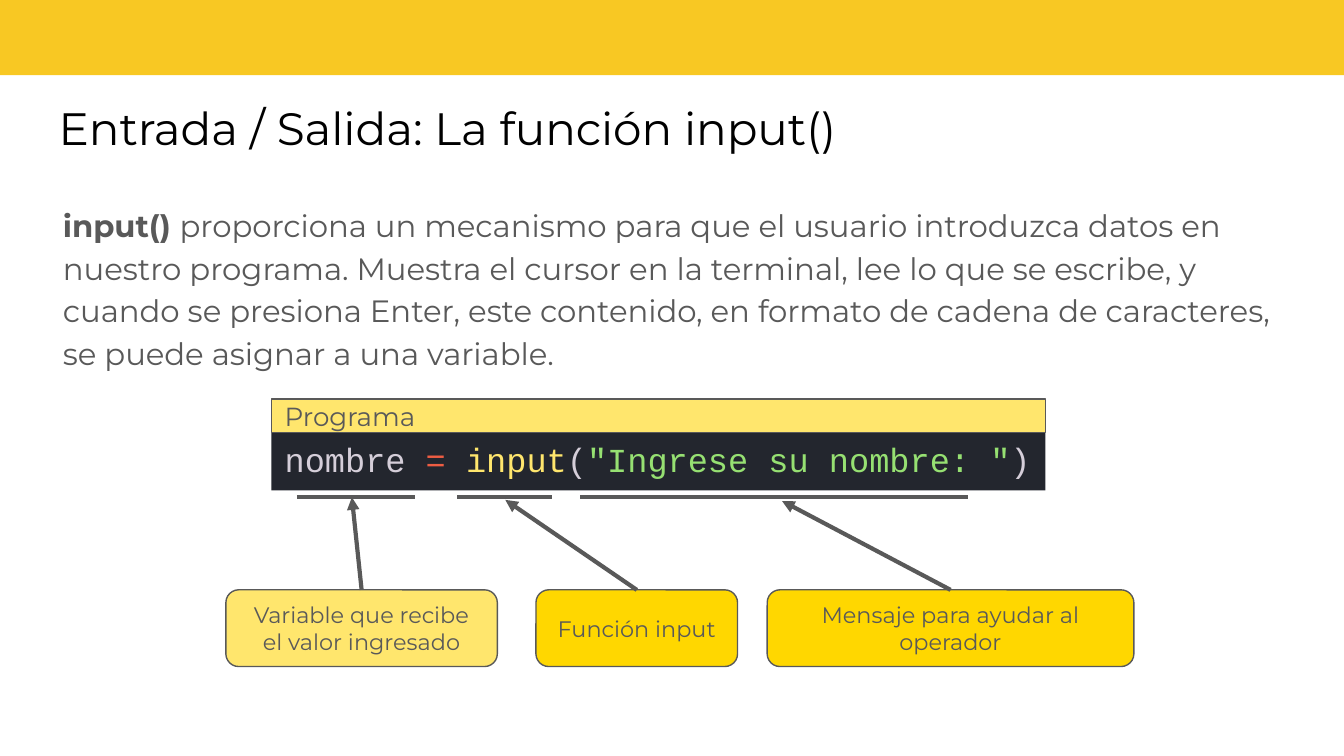
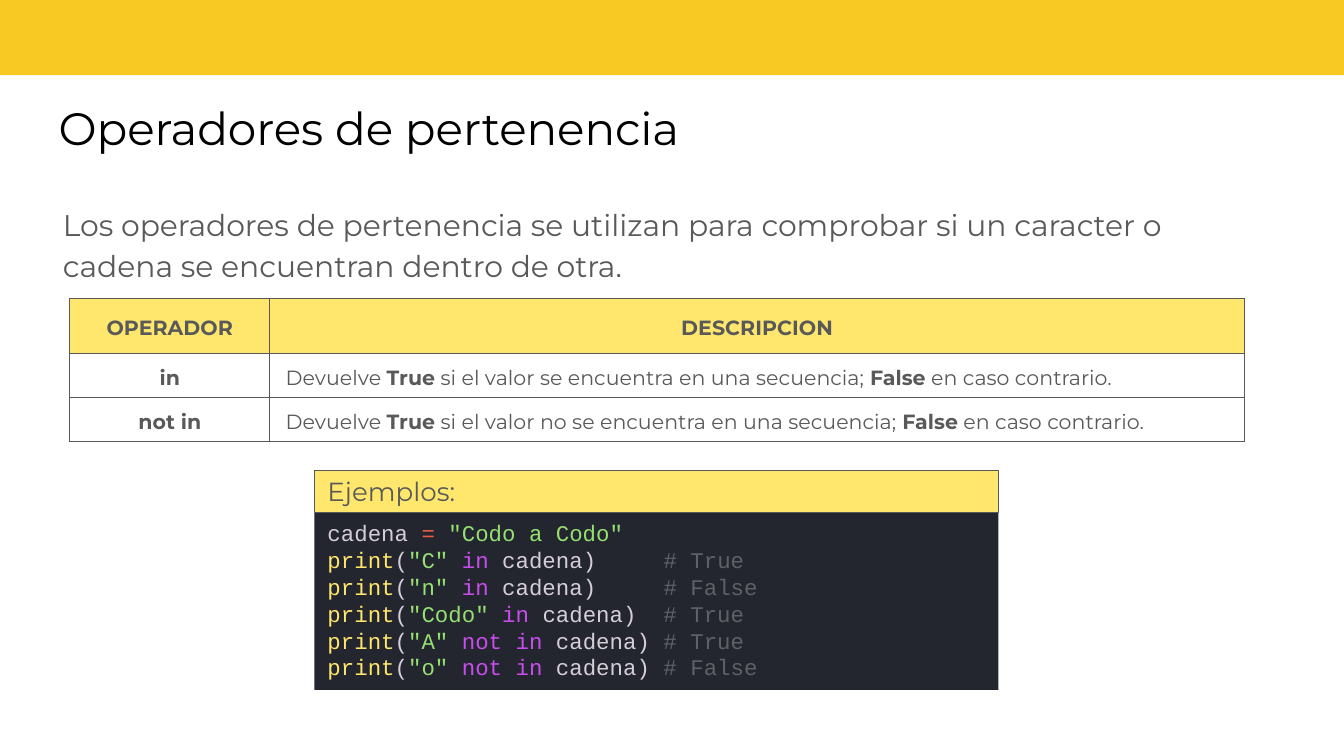
from collections import namedtuple

from pptx import Presentation
from pptx.dml.color import RGBColor
from pptx.enum.shapes import MSO_CONNECTOR, MSO_SHAPE
from pptx.enum.text import MSO_ANCHOR, PP_ALIGN
from pptx.oxml import parse_xml
from pptx.oxml.ns import nsdecls, qn
from pptx.oxml.xmlchemy import OxmlElement
from pptx.util import Cm, Pt

BLACK = RGBColor(0x00, 0x00, 0x00)
WHITE = RGBColor(0xFF, 0xFF, 0xFF)
GRAY = RGBColor(0x59, 0x59, 0x59)
BAND = RGBColor(0xF8, 0xC8, 0x23)
GOLD = RGBColor(0xFF, 0xD7, 0x00)
YELLOW = RGBColor(0xFF, 0xE6, 0x6D)
CODE_BG = RGBColor(0x23, 0x26, 0x2E)
CODE_TEXT = RGBColor(0xD5, 0xCE, 0xD9)
CODE_ASSIGN = RGBColor(0xEE, 0x5D, 0x43)
CODE_STRING = RGBColor(0x96, 0xE0, 0x72)
CODE_KEYWORD = RGBColor(0xC7, 0x4D, 0xED)
CODE_COMMENT = RGBColor(0x5F, 0x61, 0x67)

SANS = "Montserrat"
MONO = "Courier New"
WIDTH, HEIGHT = 25.4, 14.29

Run = namedtuple("Run", "text color bold", defaults=(GRAY, False))


class Deck:
    def __init__(self):
        self.prs = Presentation()
        self.prs.slide_width, self.prs.slide_height = Cm(WIDTH), Cm(HEIGHT)
        self.s = None

    def slide(self, title):
        self.s = self.prs.slides.add_slide(self.prs.slide_layouts[6])
        self.box(0, 0, WIDTH, 1.42, BAND)
        self.text(0.86, 1.65, 23.62, 1.6, [Run(title, BLACK)], 24.3, inset=0.25)

    def add_lines(self, tf, lines, size, font=SANS, align=PP_ALIGN.LEFT, spacing=None):
        """Fill a text frame; each line is a list of Run."""
        for i, line in enumerate(lines):
            p = tf.add_paragraph() if i else tf.paragraphs[0]
            p.alignment = align
            if spacing:
                p.line_spacing = spacing
            for run in line:
                r = p.add_run()
                r.text = run.text
                r.font.name, r.font.size = font, Pt(size)
                r.font.bold = run.bold
                r.font.color.rgb = run.color

    def text(self, x, y, w, h, line, size, inset=0, spacing=None):
        tf = self.s.shapes.add_textbox(Cm(x), Cm(y), Cm(w), Cm(h)).text_frame
        tf.word_wrap = True
        tf.margin_left = tf.margin_right = Cm(inset)
        tf.margin_top = tf.margin_bottom = Cm(0.25)
        self.add_lines(tf, [line], size, spacing=spacing)

    def body(self, h, line, size):
        self.text(1.19, 3.56, 22.99, h, line, size, spacing=1.15)

    def box(self, x, y, w, h, fill, outlined=False, shape=MSO_SHAPE.RECTANGLE):
        sp = self.s.shapes.add_shape(shape, Cm(x), Cm(y), Cm(w), Cm(h))
        sp.shadow.inherit = False
        sp.fill.solid()
        sp.fill.fore_color.rgb = fill
        if outlined:
            sp.line.color.rgb = GRAY
            sp.line.width = Pt(0.75)
        else:
            sp.line.fill.background()
        tf = sp.text_frame
        tf.word_wrap = True
        tf.vertical_anchor = MSO_ANCHOR.MIDDLE
        return sp

    def callout(self, x, w, fill, lines):
        sp = self.box(x, 11.15, w, 1.45, fill, True,
                      MSO_SHAPE.FLOWCHART_ALTERNATE_PROCESS)
        self.add_lines(sp.text_frame, [[Run(t)] for t in lines], 12,
                       align=PP_ALIGN.CENTER)
        return sp

    def code(self, x, y, w, header_h, code_h, header, lines, size):
        """Dark code panel under a yellow header strip."""
        panel = self.box(x, y + header_h, w, code_h, CODE_BG)
        panel.text_frame.vertical_anchor = MSO_ANCHOR.TOP
        self.add_lines(panel.text_frame, lines, size, MONO)
        strip = self.box(x, y, w, header_h, YELLOW, True)
        self.add_lines(strip.text_frame, [[Run(header)]], 14)

    def line(self, x1, y1, x2, y2, start=None):
        """Plain line, or an arrow when it starts at the top of a shape."""
        cx = self.s.shapes.add_connector(
            MSO_CONNECTOR.STRAIGHT, Cm(x1), Cm(y1), Cm(x2), Cm(y2))
        cx.line.color.rgb = GRAY
        cx.line.width = Pt(2.25)
        sppr = cx._element.spPr
        if start is not None:
            cx.begin_connect(start, 0)
            tail = OxmlElement("a:tailEnd")
            tail.set("type", "triangle")
            sppr.find(qn("a:ln")).append(tail)
        sppr.append(OxmlElement("a:effectLst"))

    def table(self, x, y, widths, heights, rows):
        frame = self.s.shapes.add_table(len(rows), len(widths), Cm(x), Cm(y),
                                        Cm(sum(widths)), Cm(sum(heights)))
        table = frame.table
        table.horz_banding = False
        for column, w in zip(table.columns, widths):
            column.width = Cm(w)
        for i, (h, row) in enumerate(zip(heights, rows)):
            table.rows[i].height = Cm(h)
            for j, line in enumerate(row):
                centred = i == 0 or j == 0
                self.cell(table.cell(i, j), line, WHITE if i else YELLOW,
                          PP_ALIGN.CENTER if centred else PP_ALIGN.LEFT)

    def cell(self, cell, line, fill, align):
        tcpr = cell._tc.get_or_add_tcPr()
        for side in "LRTB":
            tcpr.append(parse_xml(
                f'<a:ln{side} {nsdecls("a")} w="{Pt(0.75)}"><a:solidFill>'
                f'<a:srgbClr val="{GRAY}"/></a:solidFill></a:ln{side}>'))
        cell.fill.solid()
        cell.fill.fore_color.rgb = fill
        cell.vertical_anchor = MSO_ANCHOR.MIDDLE
        cell.margin_left = cell.margin_right = Cm(0.3)
        cell.margin_top = cell.margin_bottom = Cm(0.15)
        self.add_lines(cell.text_frame, [line], 11, align=align, spacing=1.15)


def membership_test(literal, operator, result):
    """One print line, with its comment lined up at column 25."""
    head = f"print({literal} {operator}"
    rest = " cadena)".ljust(25 - len(head))
    return [Run("print", YELLOW), Run("(", CODE_TEXT), Run(literal, CODE_STRING),
            Run(" ", CODE_TEXT), Run(operator, CODE_KEYWORD),
            Run(rest, CODE_TEXT), Run(f"# {result}", CODE_COMMENT)]


def assignment(name, value):
    return [Run(f"{name} ", CODE_TEXT), Run("=", CODE_ASSIGN), Run(" ", CODE_TEXT), *value]


def description(condition):
    return [Run("Devuelve "), Run("True", bold=True),
            Run(f" si el valor {condition} en una secuencia; "),
            Run("False", bold=True), Run(" en caso contrario.")]


def input_slide(deck):
    deck.slide("Entrada / Salida: La función input()")
    deck.body(3.48, [
        Run("input() ", bold=True),
        Run("proporciona un mecanismo para que el usuario introduzca datos en nuestro "
            "programa. Muestra el cursor en la terminal, lee lo que se escribe, y cuando "
            "se presiona Enter, este contenido, en formato de cadena de caracteres, se "
            "puede asignar a una variable.")], 16.5)
    call = [Run("input", YELLOW), Run("(", CODE_TEXT),
            Run('"Ingrese su nombre: "', CODE_STRING), Run(")", CODE_TEXT)]
    deck.code(5.13, 7.54, 14.63, 0.64, 1.09, "Programa", [assignment("nombre", call)], 18)

    underline_y = 9.4
    for x1, x2 in ((5.61, 7.85), (8.64, 10.44), (10.97, 18.29)):
        deck.line(x1, underline_y, x2, underline_y)

    callouts = [
        (4.27, 5.13, YELLOW, ["Variable que recibe", "el valor ingresado"], 6.65, 9.4),
        (10.13, 3.81, GOLD, ["Función input"], 9.55, 9.45),
        (14.5, 6.93, GOLD, ["Mensaje para ayudar al operador"], 14.78, 9.47),
    ]
    for x, w, fill, lines, tip_x, tip_y in callouts:
        sp = deck.callout(x, w, fill, lines)
        deck.line(x + w / 2, 11.15, tip_x, tip_y, start=sp)


def membership_slide(deck):
    deck.slide("Operadores de pertenencia")
    deck.body(9.09, [Run("Los operadores de pertenencia se utilizan para comprobar si un "
                         "caracter o cadena se encuentran dentro de otra.")], 16)
    deck.table(1.32, 5.64, [3.78, 18.42], [1.04, 0.81, 0.81], [
        [[Run("OPERADOR", bold=True)], [Run("DESCRIPCION", bold=True)]],
        [[Run("in", bold=True)], description("se encuentra")],
        [[Run("not in", bold=True)], description("no se encuentra")],
    ])
    tests = [('"C"', "in", True), ('"n"', "in", False), ('"Codo"', "in", True),
             ('"A"', "not in", True), ('"o"', "not in", False)]
    lines = [assignment("cadena", [Run('"Codo a Codo"', CODE_STRING)])]
    lines += [membership_test(*test) for test in tests]
    deck.code(5.94, 8.89, 12.93, 0.8, 3.35, "Ejemplos:", lines, 12)


def main():
    deck = Deck()
    input_slide(deck)
    membership_slide(deck)
    deck.prs.save("out.pptx")


if __name__ == "__main__":
    main()
